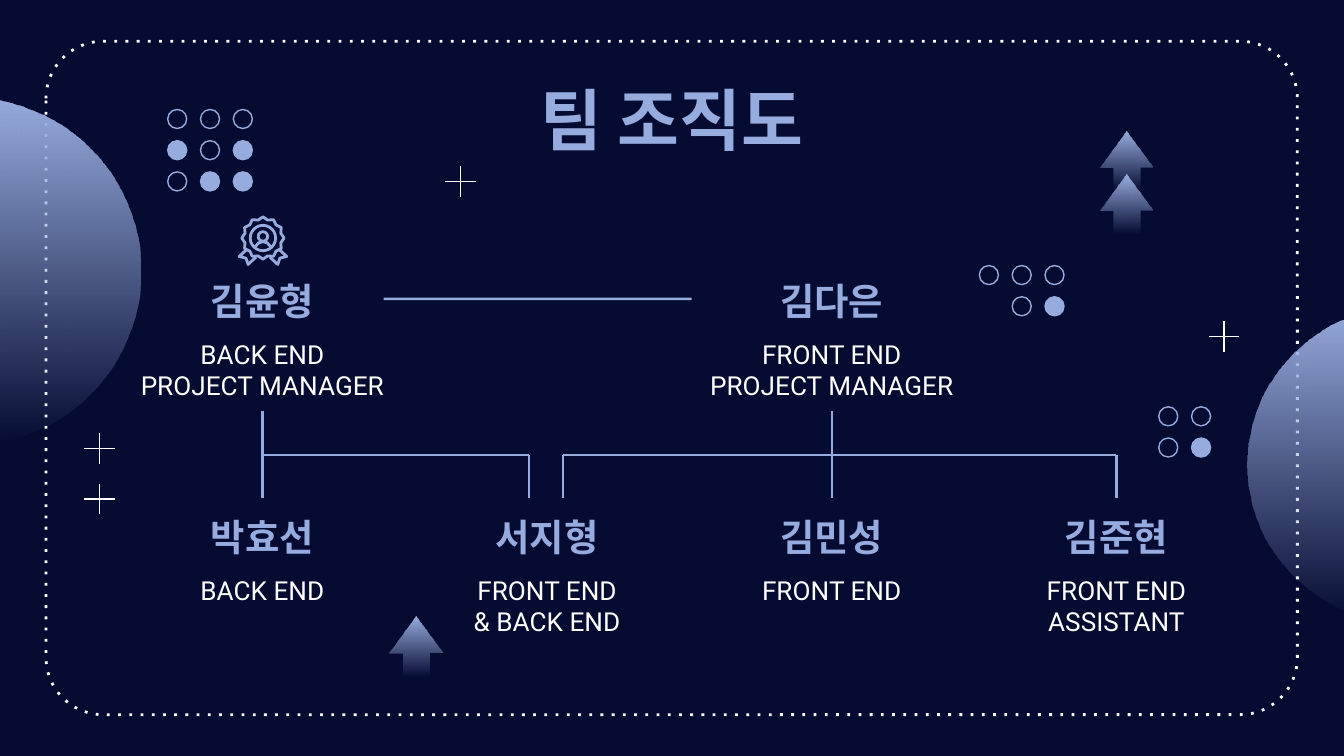
from dataclasses import dataclass
from math import cos, pi, sin
from typing import Optional

from lxml.etree import SubElement
from pptx import Presentation
from pptx.dml.color import RGBColor
from pptx.enum.shapes import MSO_CONNECTOR, MSO_SHAPE as Preset
from pptx.enum.text import MSO_ANCHOR as Anchor, PP_ALIGN as Align
from pptx.oxml.ns import qn
from pptx.util import Cm, Pt

NAVY = RGBColor(0x05, 0x0B, 0x31)
PERIWINKLE = RGBColor(0x97, 0xAC, 0xDE)
WHITE = RGBColor(0xFF, 0xFF, 0xFF)
KOREAN = "Noto Sans CJK KR"
LATIN = "Roboto"
TOP, LEFT, BOTTOM = 0, 1, 2


@dataclass
class Member:
    name: str
    role: str
    column: int
    row: int


@dataclass
class Link:
    start: tuple[float, float]
    end: tuple[float, float]
    begin_site: Optional[tuple[str, int]] = None
    end_site: Optional[tuple[str, int]] = None


@dataclass
class DotGrid:
    left: float
    top: float
    rows: tuple[str, ...]


MEMBERS = [
    Member("김다은", "FRONT END\nPROJECT MANAGER", 2, 0),
    Member("김윤형", "BACK END\nPROJECT MANAGER", 0, 0),
    Member("박효선", "BACK END", 0, 1),
    Member("김민성", "FRONT END", 2, 1),
    Member("서지형", "FRONT END\n& BACK END", 1, 1),
    Member("김준현", "FRONT END\nASSISTANT", 3, 1),
]
LINKS = [
    Link((4.96, 7.77), (4.96, 9.42), ("김윤형 role", BOTTOM), ("박효선", TOP)),
    Link((10, 8.6), (10, 9.42)),
    Link((15.72, 7.77), (15.72, 9.42), ("김다은 role", BOTTOM), ("김민성", TOP)),
    Link((21.1, 8.6), (21.1, 9.42), None, ("김준현", TOP)),
    Link((13.07, 5.65), (7.25, 5.65), ("김다은", LEFT)),
    Link((21.1, 8.6), (10.64, 8.6)),
    Link((10, 8.6), (4.94, 8.6)),
    Link((10.64, 8.6), (10.64, 9.42)),
]
DOT_GRIDS = [
    DotGrid(3.17, 2.07, ("ooo", "xox", "oxx")),
    DotGrid(21.9, 7.69, ("oo", "ox")),
    DotGrid(18.51, 5.02, ("ooo", " ox")),
]
ARROWS = [(7.37, 11.66), (20.8, 3.3), (20.8, 2.49)]
PLUSES = [(1.88, 8.48), (1.88, 9.43), (8.7, 3.43), (23.13, 6.36)]


def add_text(s, text: str, box: tuple, size: int, font: str, color: RGBColor,
             bold: bool = False, anchor: Anchor = Anchor.TOP):
    sp = s.shapes.add_textbox(*map(Cm, box))
    tf = sp.text_frame
    tf.word_wrap = True
    tf.vertical_anchor = anchor
    tf.margin_left = tf.margin_right = tf.margin_top = tf.margin_bottom = Cm(0.25)
    tf.text = text
    for p in tf.paragraphs:
        p.alignment = Align.CENTER
        p.font.name, p.font.size, p.font.bold = font, Pt(size), bold
        p.font.color.rgb = color
        SubElement(p._p.pPr.find(qn("a:defRPr")), qn("a:ea"), typeface=font)
    return sp


def outline(sp, color: RGBColor, width: float) -> None:
    sp.shadow.inherit = False
    sp.fill.background()
    sp.line.color.rgb = color
    sp.line.width = Pt(width)


def add_fading(s, preset: Preset, box: tuple):
    sp = s.shapes.add_shape(preset, *map(Cm, box))
    sp.shadow.inherit = False
    sp.line.fill.background()
    sp.fill.gradient()
    sp.fill.gradient_angle = 270
    for stop in sp.fill.gradient_stops:
        stop.color.rgb = PERIWINKLE
    last = sp._element.spPr.findall(".//" + qn("a:srgbClr"))[-1]
    SubElement(last, qn("a:alpha"), val="0")
    return sp


def add_circle(s, x: float, y: float, radius: float, width: float):
    sp = s.shapes.add_shape(Preset.OVAL, Cm(x - radius), Cm(y - radius),
                            Cm(2 * radius), Cm(2 * radius))
    outline(sp, PERIWINKLE, width)
    return sp


def add_dots(s, grid: DotGrid) -> None:
    for j, row in enumerate(grid.rows):
        for i, mark in enumerate(row):
            if mark == " ":
                continue
            sp = add_circle(s, grid.left + 0.18 + 0.62 * i, grid.top + 0.18 + 0.59 * j, 0.18, 0.75)
            if mark == "x":
                sp.fill.solid()
                sp.fill.fore_color.rgb = PERIWINKLE


def add_line(s, start: tuple, end: tuple, color: RGBColor, width: float):
    line = s.shapes.add_connector(MSO_CONNECTOR.STRAIGHT, *map(Cm, start + end))
    line.line.color.rgb = color
    line.line.width = Pt(width)
    SubElement(line._element.spPr, qn("a:effectLst"))
    return line


def add_plus(s, x: float, y: float, arm: float = 0.29) -> None:
    add_line(s, (x - arm, y), (x + arm, y), WHITE, 0.75)
    add_line(s, (x, y - arm), (x, y + arm), WHITE, 0.75)


def add_path(s, points: list, close: bool) -> None:
    first, *rest = [(Cm(x), Cm(y)) for x, y in points]
    builder = s.shapes.build_freeform(*first)
    builder.add_line_segments(rest, close=close)
    outline(builder.convert_to_shape(), PERIWINKLE, 1.5)


def add_medal(s, x: float, y: float) -> None:
    badge = []
    for k in range(24):
        radius, angle = (0.35 if k % 2 else 0.4), k * pi / 12
        badge.append((x + radius * sin(angle), y - radius * cos(angle)))
    add_path(s, badge, True)
    ribbon = [(0.31, 0.22), (0.45, 0.35), (0.32, 0.38), (0.28, 0.5), (0.13, 0.36)]
    for side in (-1, 1):
        add_path(s, [(x + side * dx, y + dy) for dx, dy in ribbon], False)
    add_circle(s, x, y, 0.24, 1.5)
    add_circle(s, x, y - 0.03, 0.09, 1.5)
    shoulders = [(-0.15, 0.17), (-0.08, 0.09), (0, 0.07), (0.08, 0.09), (0.15, 0.17)]
    add_path(s, [(x + dx, y + dy) for dx, dy in shoulders], False)


def main() -> None:
    prs = Presentation()
    prs.slide_width, prs.slide_height = Cm(25.4), Cm(14.29)
    s = prs.slides.add_slide(prs.slide_layouts[6])
    s.background.fill.solid()
    s.background.fill.fore_color.rgb = NAVY

    frame = s.shapes.add_shape(Preset.ROUNDED_RECTANGLE, Cm(0.87), Cm(0.78), Cm(23.65), Cm(12.73))
    frame.adjustments[0] = 0.085
    outline(frame, WHITE, 1.5)
    SubElement(frame.line._get_or_add_ln(), qn("a:prstDash"), val="dot")
    add_fading(s, Preset.OVAL, (-3.89, 1.85, 6.55, 6.55))
    add_fading(s, Preset.OVAL, (23.57, 5.82, 5.92, 5.92))

    add_text(s, "팀 조직도", (1.98, 1.24, 21.44, 2.06), 36, KOREAN, PERIWINKLE, True)
    for x, y in ARROWS:
        sp = add_fading(s, Preset.UP_ARROW, (x, y, 0.99, 1.12))
        sp.adjustments[0], sp.adjustments[1] = 0.5, 0.68
    for grid in DOT_GRIDS:
        add_dots(s, grid)
    for x, y in PLUSES:
        add_plus(s, x, y)

    boxes = {}
    for m in MEMBERS:
        x, y = 2.31 + 5.38 * m.column, 4.95 + 4.47 * m.row
        boxes[m.name] = add_text(s, m.name, (x, y, 5.3, 1.4), 20, KOREAN, PERIWINKLE,
                                 True, Anchor.BOTTOM)
        boxes[m.name + " role"] = add_text(s, m.role, (x, y + 1.19, 5.3, 1.63), 14, LATIN, WHITE)

    for link in LINKS:
        line = add_line(s, link.start, link.end, PERIWINKLE, 1.25)
        if link.begin_site:
            line.begin_connect(boxes[link.begin_site[0]], link.begin_site[1])
        if link.end_site:
            line.end_connect(boxes[link.end_site[0]], link.end_site[1])
    add_medal(s, 4.97, 4.5)
    prs.save("out.pptx")


if __name__ == "__main__":
    main()
